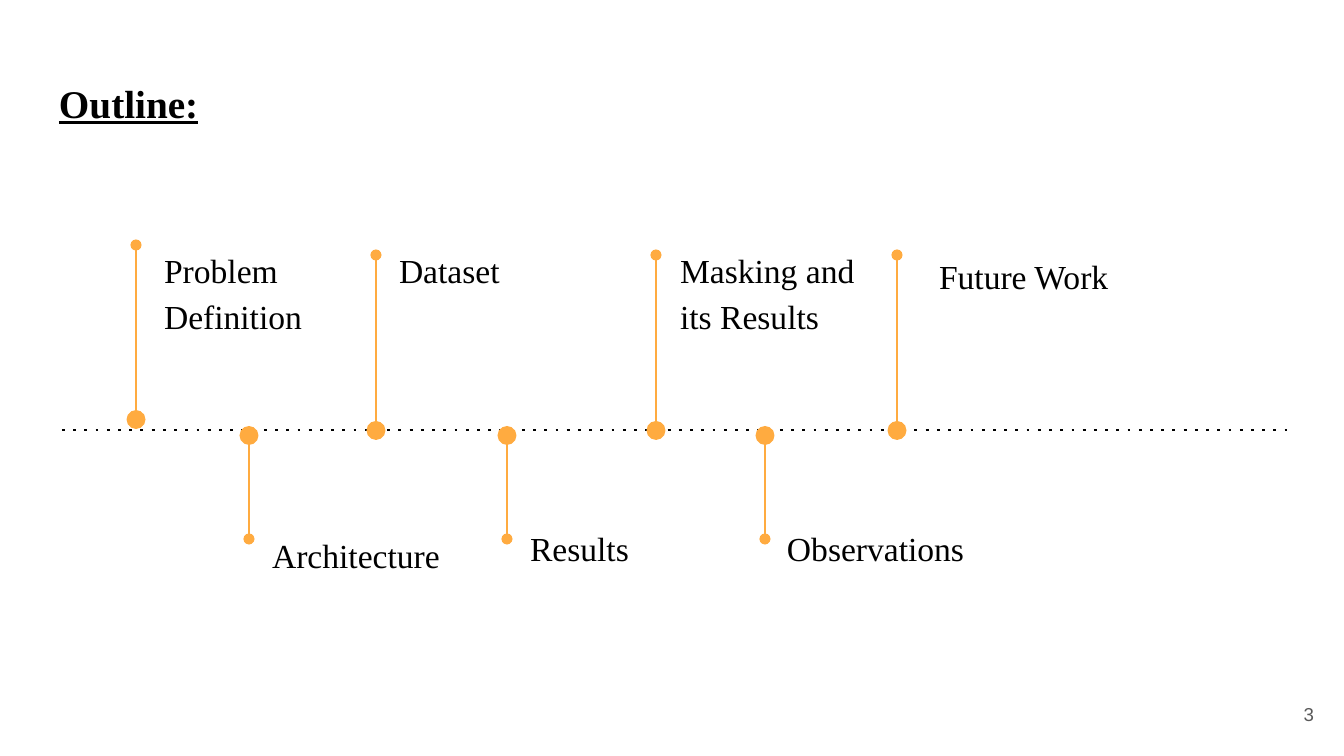
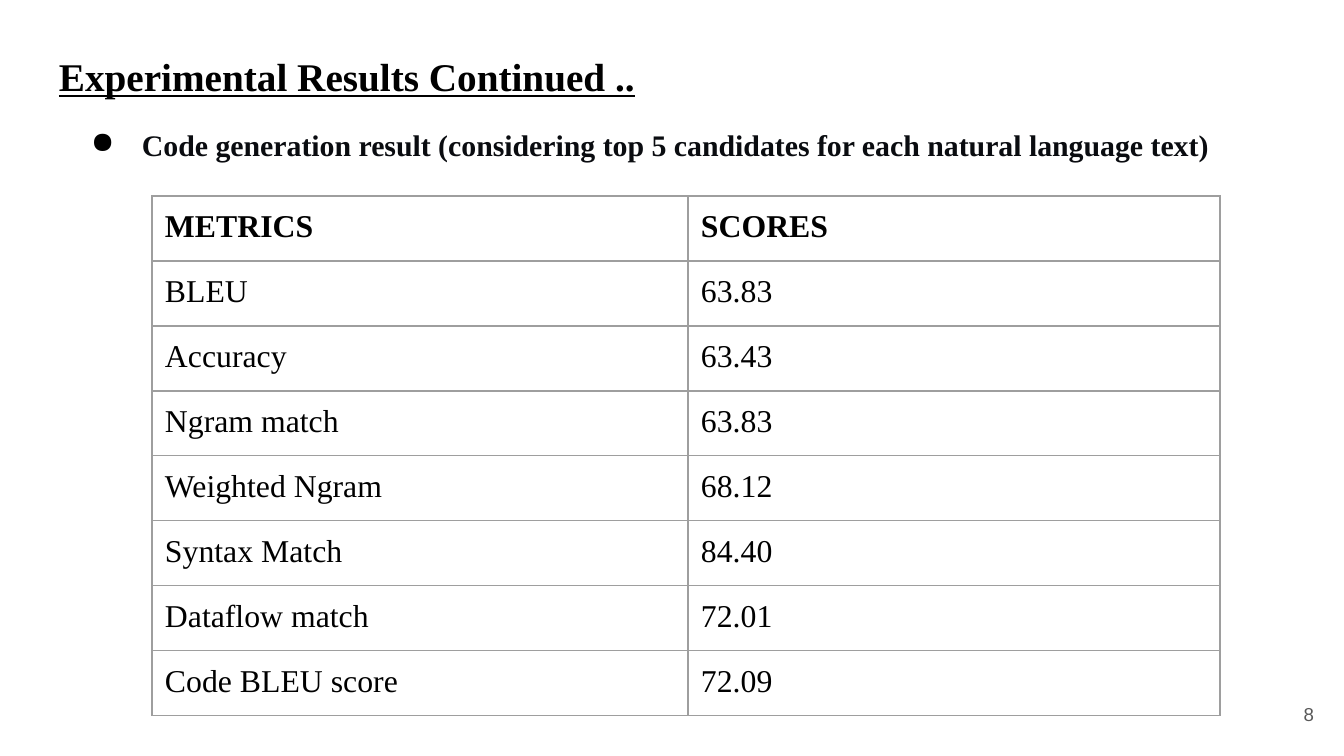
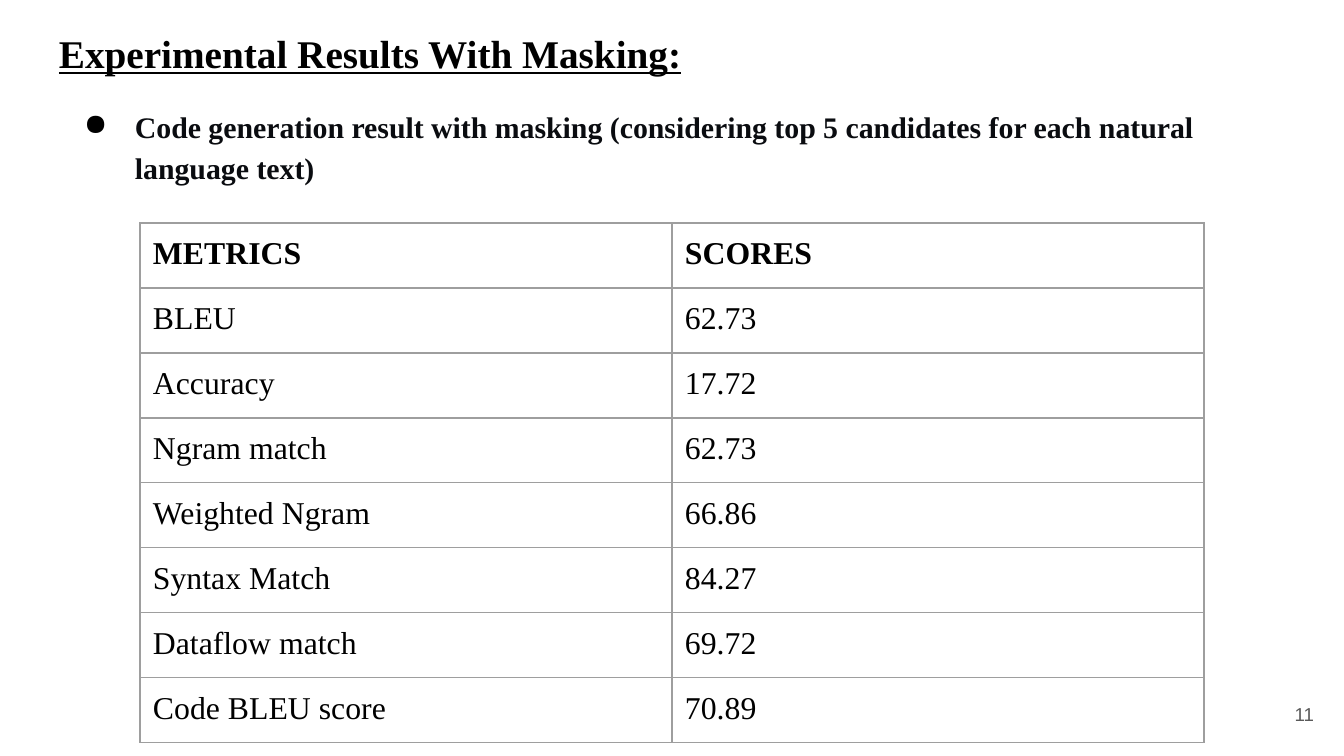
from lxml.etree import SubElement
from pptx import Presentation
from pptx.dml.color import RGBColor
from pptx.enum.shapes import MSO_CONNECTOR as Connector, MSO_SHAPE as Shape
from pptx.enum.text import MSO_ANCHOR as Anchor, MSO_AUTO_SIZE as AutoSize, PP_ALIGN as Align
from pptx.oxml.ns import qn
from pptx.util import Pt

BLACK = RGBColor(0x00, 0x00, 0x00)
INK = RGBColor(0x0A, 0x0C, 0x10)
ORANGE = RGBColor(0xFF, 0xAB, 0x40)
GRAY = RGBColor(0x59, 0x59, 0x59)
BORDER = RGBColor(0x9E, 0x9E, 0x9E)
SERIF = "Times New Roman"
SANS = "Arial"

WIDTH, HEIGHT = 1344, 756
SCALE = 9144000 / WIDTH
INSET = 13
DOT = 19
ROW_HEIGHT = 65
AXIS_Y = 430


def px(*lengths):
    return [round(length * SCALE) for length in lengths]


class Deck:
    def __init__(self):
        self.presentation = Presentation()
        self.presentation.slide_width, self.presentation.slide_height = px(WIDTH, HEIGHT)
        self.slide = None

    def add_slide(self, title, title_top, number, spacing=1.15):
        self.slide = self.presentation.slides.add_slide(self.presentation.slide_layouts[5])
        heading = self.slide.shapes.title
        heading.left, heading.top, heading.width, heading.height = px(46, title_top, 1253, 85)
        paragraph = self.fill_frame(heading.text_frame, title, 21, bold=True, spacing=spacing)
        paragraph.runs[0].font.underline = True
        self.text(number, (1246, 685, 81, 58), 10, font=SANS, color=GRAY,
                  align=Align.RIGHT, anchor=Anchor.MIDDLE)

    def fill_frame(self, frame, text, size, font=SERIF, color=BLACK, bold=False,
                   align=Align.LEFT, anchor=Anchor.TOP, spacing=1.0):
        frame.text = text
        frame.word_wrap = True
        frame.auto_size = AutoSize.NONE
        frame.vertical_anchor = anchor
        (frame.margin_left, frame.margin_top,
         frame.margin_right, frame.margin_bottom) = px(*[INSET] * 4)
        paragraph = frame.paragraphs[0]
        self.style(paragraph, size, font, color, bold)
        paragraph.alignment = align
        paragraph.line_spacing = spacing
        return paragraph

    def style(self, paragraph, size, font, color, bold):
        for run in paragraph.runs:
            run.font.size = Pt(size)
            run.font.name = font
            run.font.bold = bold
            run.font.color.rgb = color

    def text(self, text, box, size, **options):
        holder = self.slide.shapes.add_textbox(*px(*box))
        return self.fill_frame(holder.text_frame, text, size, **options)

    def bullet(self, text, box):
        paragraph = self.text(text, box, 16, color=INK, bold=True, spacing=1.15)
        properties = paragraph._p.get_or_add_pPr()
        margin, indent = px(67, -51)
        properties.set("marL", str(margin))
        properties.set("indent", str(indent))
        bullet_color = SubElement(properties, qn("a:buClr"))
        SubElement(bullet_color, qn("a:srgbClr"), val=str(BLACK))
        SubElement(properties, qn("a:buChar"), char="●")

    def line(self, start, end, color, width, dash=None, tail=None, shapes=None):
        shapes = self.slide.shapes if shapes is None else shapes
        connector = shapes.add_connector(Connector.STRAIGHT, *px(*start, *end))
        connector.line.color.rgb = color
        connector.line.width = Pt(width)
        properties = connector.element.spPr
        outline = properties.find(qn("a:ln"))
        if dash:
            SubElement(outline, qn("a:prstDash"), val=dash)
        if tail:
            SubElement(outline, qn("a:tailEnd"), type=tail)
        SubElement(properties, qn("a:effectLst"))

    def milestone(self, text, x, dot_top, tip_y, label_box):
        marker = self.slide.shapes.add_group_shape().shapes
        dot = marker.add_shape(Shape.OVAL, *px(x - DOT / 2, dot_top, DOT, DOT))
        dot.shadow.inherit = False
        dot.fill.solid()
        dot.fill.fore_color.rgb = ORANGE
        dot.line.fill.background()
        stem_start = dot_top if tip_y < dot_top else dot_top + DOT
        self.line((x, stem_start), (x, tip_y), ORANGE, 0.75, tail="oval", shapes=marker)
        self.text(text, label_box, 18, spacing=1.15)

    def table(self, rows, left, top, column_widths):
        table = self.slide.shapes.add_table(
            len(rows), len(column_widths),
            *px(left, top, sum(column_widths), ROW_HEIGHT * len(rows))).table
        table.first_row = table.horz_banding = False
        for column, width in zip(table.columns, px(*column_widths)):
            column.width = width
        for row, values in enumerate(rows):
            table.rows[row].height = px(ROW_HEIGHT)[0]
            for column, value in enumerate(values):
                self.cell(table.cell(row, column), value, bold=row == 0)

    def cell(self, cell, value, bold):
        cell.text_frame.text = value
        self.style(cell.text_frame.paragraphs[0], 17, SERIF, BLACK, bold)
        cell.vertical_anchor = Anchor.TOP
        (cell.margin_left, cell.margin_top,
         cell.margin_right, cell.margin_bottom) = px(*[INSET] * 4)
        properties = cell._tc.get_or_add_tcPr()
        for side in ("L", "R", "T", "B"):
            border = SubElement(properties, qn(f"a:ln{side}"), w=str(Pt(0.75)))
            fill = SubElement(border, qn("a:solidFill"))
            SubElement(fill, qn("a:srgbClr"), val=str(BORDER))
        cell.fill.background()


METRICS = ["BLEU", "Accuracy", "Ngram match", "Weighted Ngram",
           "Syntax Match", "Dataflow match", "Code BLEU score"]


def score_rows(scores):
    return [("METRICS", "SCORES"), *zip(METRICS, scores)]


deck = Deck()

deck.add_slide("Outline:", 66, "3", spacing=1.0)
deck.line((62, AXIS_Y), (1288, AXIS_Y), BLACK, 1.5, dash="dot")
for topic, x, dot_top, tip_y, label_box in [
    ("Problem Definition", 136, 410, 245, (151, 231, 199, 71)),
    ("Architecture", 249, 426, 539, (259, 516, 199, 85)),
    ("Dataset", 376, 421, 255, (386, 231, 199, 71)),
    ("Results", 507, 426, 539, (517, 509, 208, 85)),
    ("Masking and its Results", 656, 421, 255, (667, 231, 208, 71)),
    ("Observations", 765, 426, 539, (774, 509, 216, 71)),
    ("Future Work", 897, 421, 255, (926, 237, 233, 85)),
]:
    deck.milestone(topic, x, dot_top, tip_y, label_box)

deck.add_slide("Experimental Results Continued ..", 32, "8")
deck.bullet("Code generation result (considering top 5 candidates "
            "for each natural language text)", (62, 108, 1251, 155))
deck.table(score_rows(["63.83", "63.43", "63.83", "68.12", "84.40", "72.01", "72.09"]),
           152, 196, (536, 532))

deck.add_slide("Experimental Results With Masking:", 9, "11")
deck.bullet("Code generation result with masking (considering top 5 candidates "
            "for each natural language text)", (55, 90, 1253, 155))
deck.table(score_rows(["62.73", "17.72", "62.73", "66.86", "84.27", "69.72", "70.89"]),
           140, 223, (532, 532))

deck.presentation.save("out.pptx")
